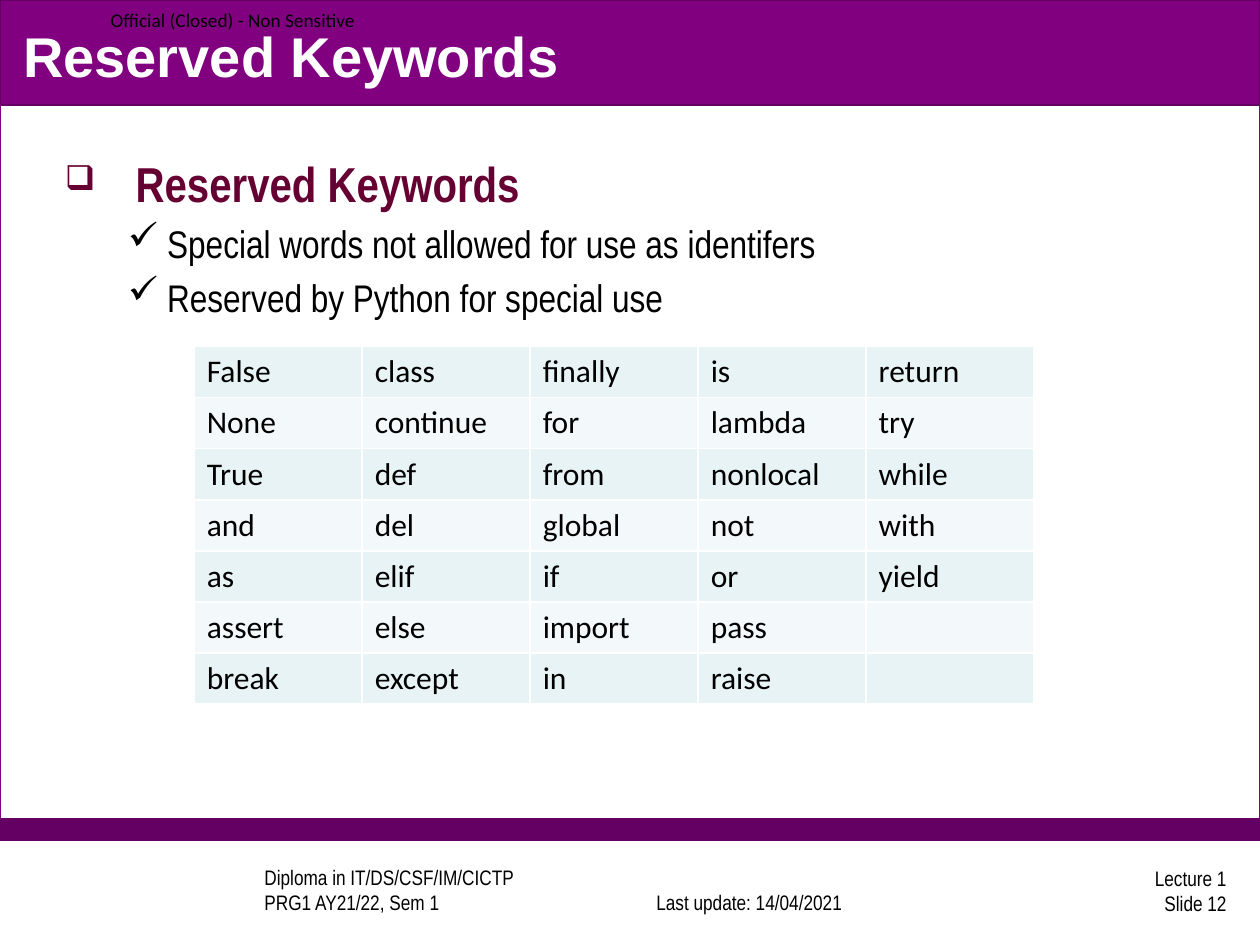
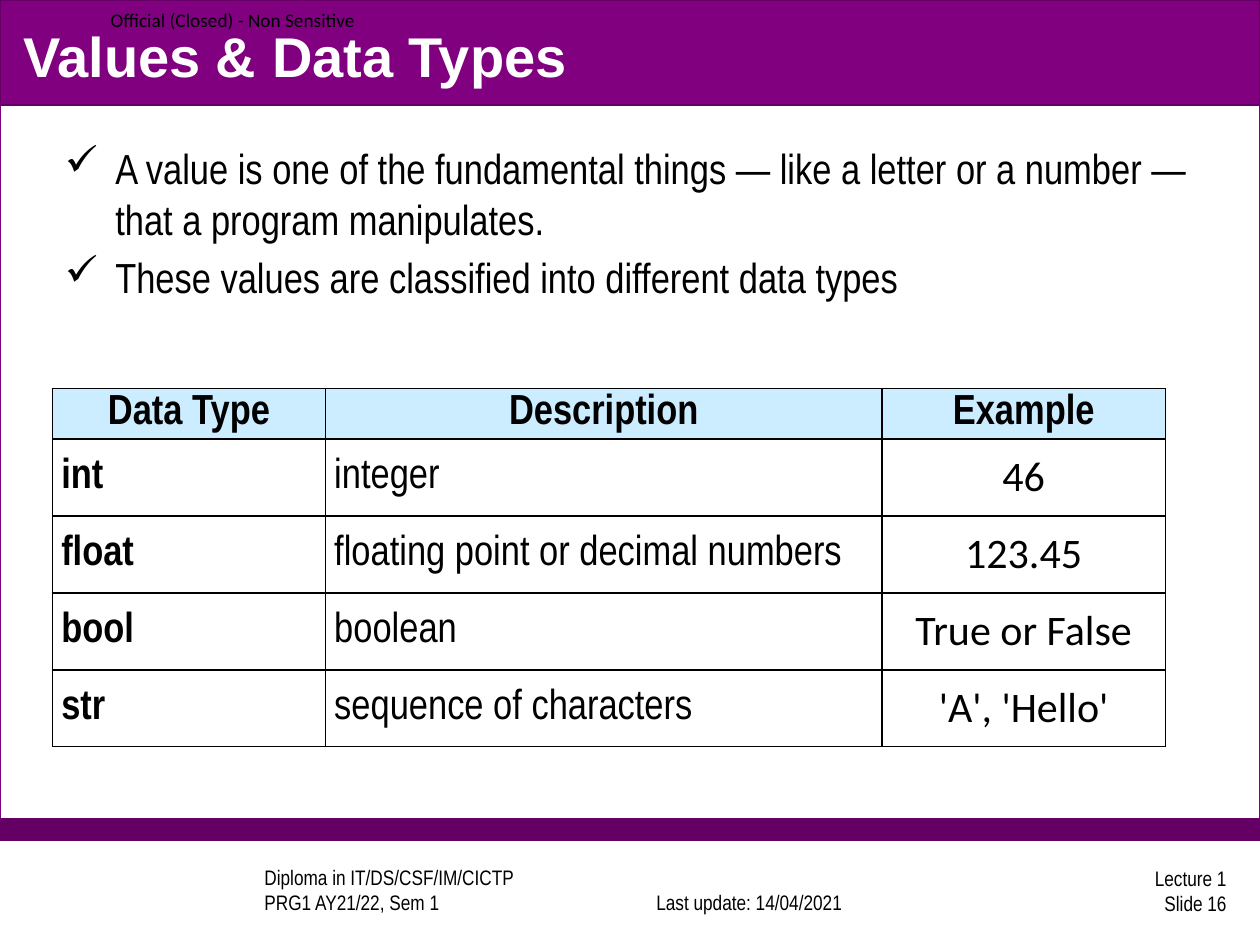
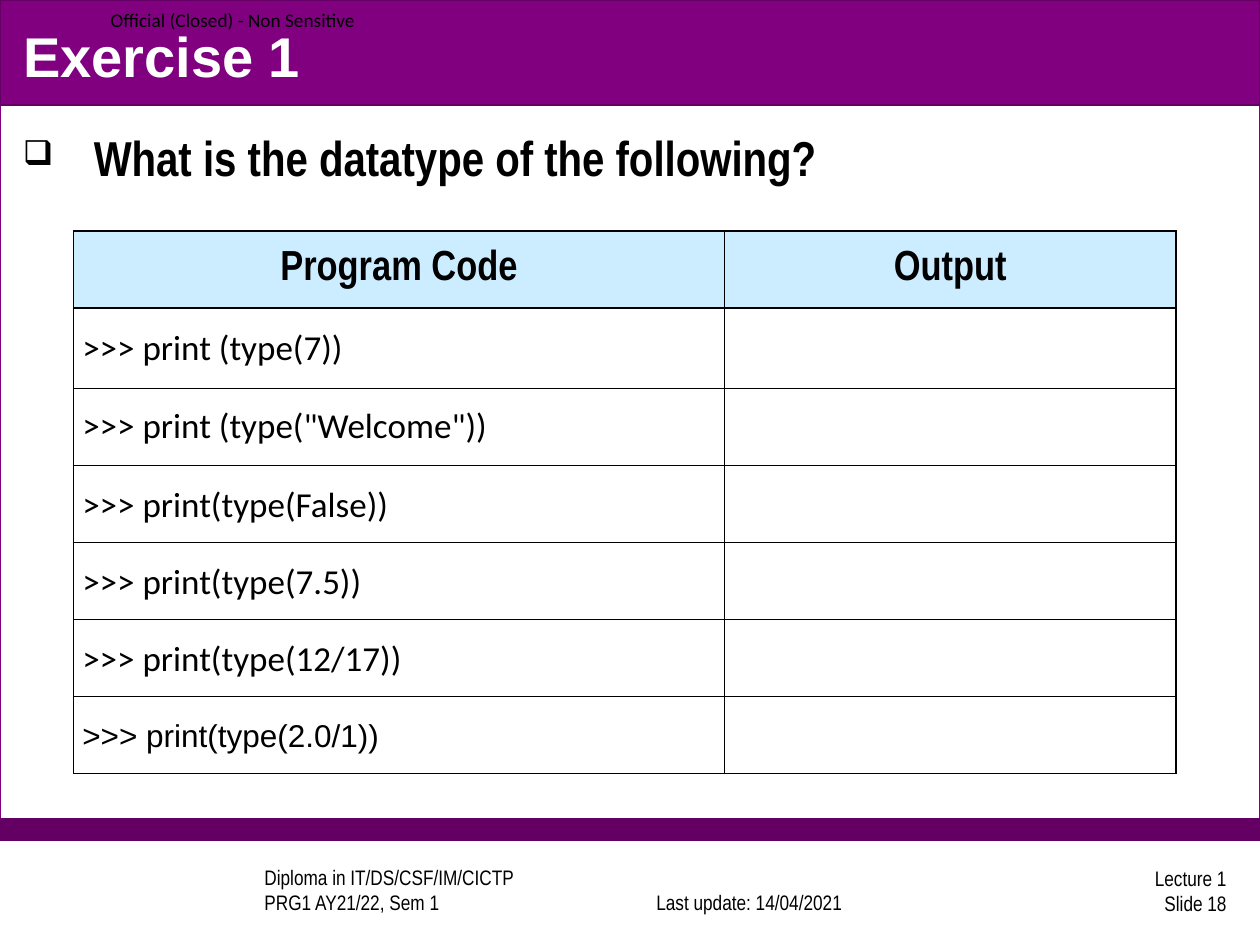
import copy
from dataclasses import dataclass
from typing import Any, NamedTuple, Optional

import lxml.etree
import pptx
import pptx.dml.color
import pptx.enum.shapes
import pptx.enum.text
import pptx.oxml.ns
import pptx.util

RGBColor = pptx.dml.color.RGBColor
Align = pptx.enum.text.PP_ALIGN
Anchor = pptx.enum.text.MSO_ANCHOR
qn = pptx.oxml.ns.qn

# Colours
WHITE = RGBColor(0xFF, 0xFF, 0xFF)
BLACK = RGBColor(0x00, 0x00, 0x00)
PURPLE = RGBColor(0x80, 0x00, 0x80)
DARK_PURPLE = RGBColor(0x64, 0x00, 0x64)
MAROON = RGBColor(0x66, 0x00, 0x33)
HEADER_BLUE = RGBColor(0xCC, 0xEC, 0xFF)
STRIPES = (RGBColor(0xE7, 0xF3, 0xF4), RGBColor(0xF3, 0xF9, 0xFA))

# Grid: 120 columns by 90 rows
COLUMNS, ROWS = 120, 90
SLIDE_WIDTH, SLIDE_HEIGHT = pptx.util.Inches(10), pptx.util.Inches(7.5)
CELL = SLIDE_WIDTH // COLUMNS


def grid(units: float) -> pptx.util.Emu:
    return pptx.util.Emu(round(units * CELL))


class Box(NamedTuple):
    left: float
    top: float
    width: float
    height: float

    def lengths(self) -> list[pptx.util.Emu]:
        return [grid(value) for value in self]


@dataclass(frozen=True)
class Style:
    size: float
    name: str = "Arial Narrow"
    bold: bool = False
    color: RGBColor = BLACK


@dataclass(frozen=True)
class Line:
    text: str
    style: Style
    format: dict[str, Any]
    bullet: str = ""
    bullet_size: int = 100
    margin: float = 0
    hanging: float = 0


@dataclass(frozen=True)
class Band:
    box: Box
    fill: RGBColor
    line: RGBColor


@dataclass(frozen=True)
class Label:
    text: str
    box: Box
    style: Style
    anchor: Anchor
    align: Align = Align.LEFT
    margin: float = 0
    space: float = 6
    inset: Optional[float] = None


@dataclass(frozen=True)
class TableCell:
    text: str
    style: Style
    format: dict[str, Any]
    fill: RGBColor


@dataclass(frozen=True)
class Grid:
    box: Box
    columns: list[float]
    rows: list[float]
    cells: list[list[TableCell]]
    border: RGBColor
    border_width: float
    format: dict[str, Any]


# Text styles
TITLE = Style(32, "Arial", True, WHITE)
FOOTER = Style(12)
MARKING = Style(11, "Calibri")
HEADING = Style(28, bold=True)
CELL_TEXT = Style(24)
CELL_BOLD = Style(24, bold=True)
CELL_VALUE = Style(24, "Calibri")
KEYWORD = Style(18, "Calibri")
CODE = Style(20, "Calibri")
CODE_ARIAL = Style(18, "Arial")

# Paragraph and cell formats
SPACED = {"space_before": pptx.util.Pt(3), "space_after": pptx.util.Pt(3)}
CENTRED = SPACED | {"alignment": Align.CENTER}
JUSTIFIED = SPACED | {"alignment": Align.JUSTIFY}
LOOSE = {"line_spacing": 1.1}
TIGHT_CELL = {
    "vertical_anchor": Anchor.MIDDLE,
    "margin_left": pptx.util.Inches(0.07),
    "margin_right": pptx.util.Inches(0.07),
    "margin_top": 0,
    "margin_bottom": 0,
}

# Parts shared by all slides
BANDS = [
    Band(Box(0, 0, COLUMNS, 80), WHITE, PURPLE),
    Band(Box(0, 78, COLUMNS, 2), DARK_PURPLE, DARK_PURPLE),
    Band(Box(0, 0, COLUMNS, 10), PURPLE, DARK_PURPLE),
]
TITLE_BOX = Box(1, 1.5, 118, 7.5)


def shared_labels(number: int) -> list[Label]:
    return [
        Label("Diploma in IT/DS/CSF/IM/CICTP\nPRG1 AY21/22, Sem 1",
              Box(18, 82.7, 38, 5), FOOTER, Anchor.BOTTOM, margin=6),
        Label("Last update: 14/04/2021", Box(58.5, 82.7, 25, 5),
              FOOTER, Anchor.BOTTOM, Align.CENTER, margin=0.7),
        Label(f"Lecture 1\nSlide {number}", Box(93, 82.3, 25, 5),
              FOOTER, Anchor.MIDDLE, Align.RIGHT),
        Label("Official (Closed) - Non Sensitive", Box(0, 0, 36, 3.7),
              MARKING, Anchor.MIDDLE, margin=10.55, space=0, inset=0),
    ]


def set_attributes(target: Any, values: dict[str, Any]) -> None:
    for name, value in values.items():
        setattr(target, name, value)


def write(paragraph: Any, text: str, style: Style, values: dict[str, Any]) -> None:
    """Fill a paragraph; a newline in the text becomes a line break."""
    paragraph.text = text
    set_attributes(paragraph, values)
    for run in paragraph.runs:
        set_attributes(run.font, {"size": pptx.util.Pt(style.size),
                                  "name": style.name, "bold": style.bold})
        run.font.color.rgb = style.color
    for line_break in paragraph._p.findall(qn("a:br")):
        line_break.append(copy.deepcopy(paragraph.runs[0]._r.rPr))


def indent(paragraph: Any, margin: float, hanging: float = 0) -> Any:
    properties = paragraph._p.get_or_add_pPr()
    properties.set("marL", str(grid(margin)))
    properties.set("indent", str(-grid(hanging)))
    return properties


def draw_band(slide: Any, band: Band) -> None:
    shape = slide.shapes.add_shape(
        pptx.enum.shapes.MSO_SHAPE.RECTANGLE, *band.box.lengths())
    shape.shadow.inherit = False
    shape.fill.solid()
    shape.fill.fore_color.rgb = band.fill
    shape.line.color.rgb = band.line
    shape.line.width = pptx.util.Pt(0.75)


def draw_label(slide: Any, label: Label) -> None:
    frame = slide.shapes.add_textbox(*label.box.lengths()).text_frame
    set_attributes(frame, {"word_wrap": True, "vertical_anchor": label.anchor})
    if label.inset is not None:
        for side in ("left", "top", "right", "bottom"):
            setattr(frame, f"margin_{side}", grid(label.inset))
    paragraph = frame.paragraphs[0]
    write(paragraph, label.text, label.style,
          {"alignment": label.align, "space_before": pptx.util.Pt(label.space)})
    indent(paragraph, label.margin)


def draw_title(slide: Any, text: str) -> None:
    title = slide.shapes.title
    set_attributes(title, dict(zip(("left", "top", "width", "height"),
                                   TITLE_BOX.lengths())))
    set_attributes(title.text_frame, {"vertical_anchor": Anchor.MIDDLE,
                                      "word_wrap": True})
    write(title.text_frame.paragraphs[0], text, TITLE, {"alignment": Align.LEFT})
    # Bring the title in front of the bands
    slide.shapes._spTree.append(title._element)


def draw_body(slide: Any, box: Box, lines: list[Line]) -> None:
    frame = slide.shapes.add_textbox(*box.lengths()).text_frame
    frame.word_wrap = True
    for index, line in enumerate(lines):
        paragraph = frame.add_paragraph() if index else frame.paragraphs[0]
        write(paragraph, line.text, line.style, line.format)
        properties = indent(paragraph, line.margin, line.hanging)
        lxml.etree.SubElement(properties, qn("a:buSzPct"),
                              val=str(line.bullet_size * 1000))
        lxml.etree.SubElement(properties, qn("a:buChar"), char=line.bullet)


def draw_borders(cell: Any, color: RGBColor, width: float) -> None:
    properties = cell._tc.get_or_add_tcPr()
    for side in ("a:lnL", "a:lnR", "a:lnT", "a:lnB"):
        border = lxml.etree.SubElement(properties, qn(side),
                                       w=str(pptx.util.Pt(width)))
        fill = lxml.etree.SubElement(border, qn("a:solidFill"))
        lxml.etree.SubElement(fill, qn("a:srgbClr"), val=str(color))


def draw_table(slide: Any, layout: Grid) -> None:
    frame = slide.shapes.add_table(
        len(layout.rows), len(layout.columns), *layout.box.lengths())
    table = frame.table
    set_attributes(table, {"first_row": False, "horz_banding": False})
    for column, width in zip(table.columns, layout.columns):
        column.width = grid(width)
    for row, height, contents in zip(table.rows, layout.rows, layout.cells):
        row.height = grid(height)
        for cell, content in zip(row.cells, contents):
            set_attributes(cell, layout.format)
            draw_borders(cell, layout.border, layout.border_width)
            cell.fill.solid()
            cell.fill.fore_color.rgb = content.fill
            write(cell.text_frame.paragraphs[0], content.text,
                  content.style, content.format)
    frame.height = grid(layout.box.height)


def add_slide(presentation: Any, title: str, number: int) -> Any:
    slide = presentation.slides.add_slide(presentation.slide_layouts[5])
    for band in BANDS:
        draw_band(slide, band)
    for label in shared_labels(number):
        draw_label(slide, label)
    draw_title(slide, title)
    return slide


def heading(text: str, color: RGBColor = BLACK) -> Line:
    return Line(text, Style(HEADING.size, bold=True, color=color),
                {"space_before": pptx.util.Pt(5.6)}, "❑", 70, 6.75, 6.75)


def tick(text: str, size: float, margin: float, hanging: float) -> Line:
    return Line(text, Style(size), {"space_before": pptx.util.Pt(size * 0.2)},
                "✓", 100, margin, hanging)


def header(*texts: str) -> list[TableCell]:
    return [TableCell(text, CELL_BOLD, CENTRED, HEADER_BLUE) for text in texts]


def keywords_slide(presentation: Any) -> None:
    slide = add_slide(presentation, "Reserved Keywords", 12)
    draw_body(slide, Box(5, 14, 107, 64), [
        heading("Reserved Keywords", MAROON),
        tick("Special words not allowed for use as identifers", 22, 9.75, 3.75),
        tick("Reserved by Python for special use", 22, 9.75, 3.75),
    ])
    keywords = [
        ["False", "class", "finally", "is", "return"],
        ["None", "continue", "for", "lambda", "try"],
        ["True", "def", "from", "nonlocal", "while"],
        ["and", "del", "global", "not", "with"],
        ["as", "elif", "if", "or", "yield"],
        ["assert", "else", "import", "pass", ""],
        ["break", "except", "in", "raise", ""],
    ]
    cells = [[TableCell(word, KEYWORD, {}, STRIPES[index % 2]) for word in words]
             for index, words in enumerate(keywords)]
    draw_table(slide, Grid(Box(18.5, 33, 80, 34.07), [16] * 5, [4.87] * 7,
                           cells, WHITE, 1, {}))


def data_types_slide(presentation: Any) -> None:
    slide = add_slide(presentation, "Values & Data Types", 16)
    draw_body(slide, Box(5, 13, 112, 66), [
        tick("A value is one of the fundamental things — like a letter or a "
             "number — that a program manipulates.", 24, 4.8, 4.8),
        tick("These values are classified into different data types", 24, 4.8, 4.8),
    ])
    data_types = [
        ("int", "integer", "46"),
        ("float", "floating point or decimal numbers", "123.45"),
        ("bool", "boolean", "True or False"),
        ("str", "sequence of characters", "'A', 'Hello'"),
    ]
    looks = [(CELL_BOLD, JUSTIFIED), (CELL_TEXT, SPACED), (CELL_VALUE, CENTRED)]
    cells = [header("Data Type", "Description", "Example")] + [
        [TableCell(text, *look, WHITE) for text, look in zip(row, looks)]
        for row in data_types]
    draw_table(slide, Grid(Box(5, 37, 106, 34.1), [26, 53, 27],
                           [2.3] + [7.33] * 4, cells, BLACK, 1, TIGHT_CELL))


def exercise_slide(presentation: Any) -> None:
    slide = add_slide(presentation, "Exercise 1", 18)
    draw_body(slide, Box(1, 11.6, 118, 7.5),
              [heading("What is the datatype of the following?")])
    statements = [
        (">>> print (type(7))", CODE, SPACED),
        (">>> print (type(\"Welcome\"))", CODE, SPACED),
        (">>> print(type(False))", CODE, LOOSE),
        (">>> print(type(7.5))", CODE, LOOSE),
        (">>> print(type(12/17))", CODE, LOOSE),
        (">>> print(type(2.0/1))", CODE_ARIAL, LOOSE),
    ]
    cells = [header("Program Code", "Output")] + [
        [TableCell(*statement, WHITE), TableCell("", CODE, {}, WHITE)]
        for statement in statements]
    draw_table(slide, Grid(Box(7, 22, 105, 51.7), [62, 43],
                           [7.33, 7.67] + [7.33] * 5, cells, BLACK, 0.75,
                           TIGHT_CELL))


def main() -> None:
    presentation = pptx.Presentation()
    presentation.slide_width = SLIDE_WIDTH
    presentation.slide_height = SLIDE_HEIGHT
    keywords_slide(presentation)
    data_types_slide(presentation)
    exercise_slide(presentation)
    presentation.save("out.pptx")


if __name__ == "__main__":
    main()
